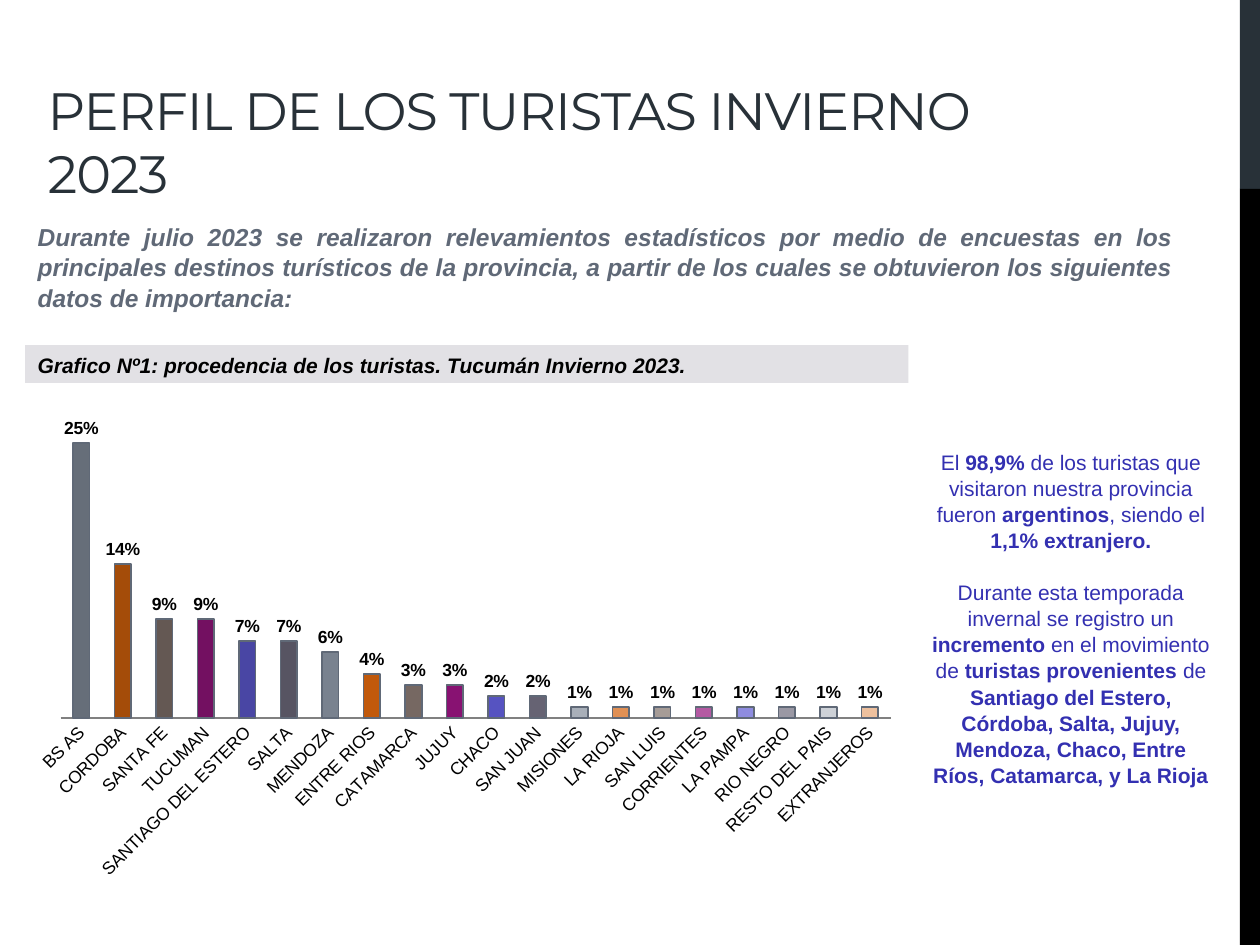
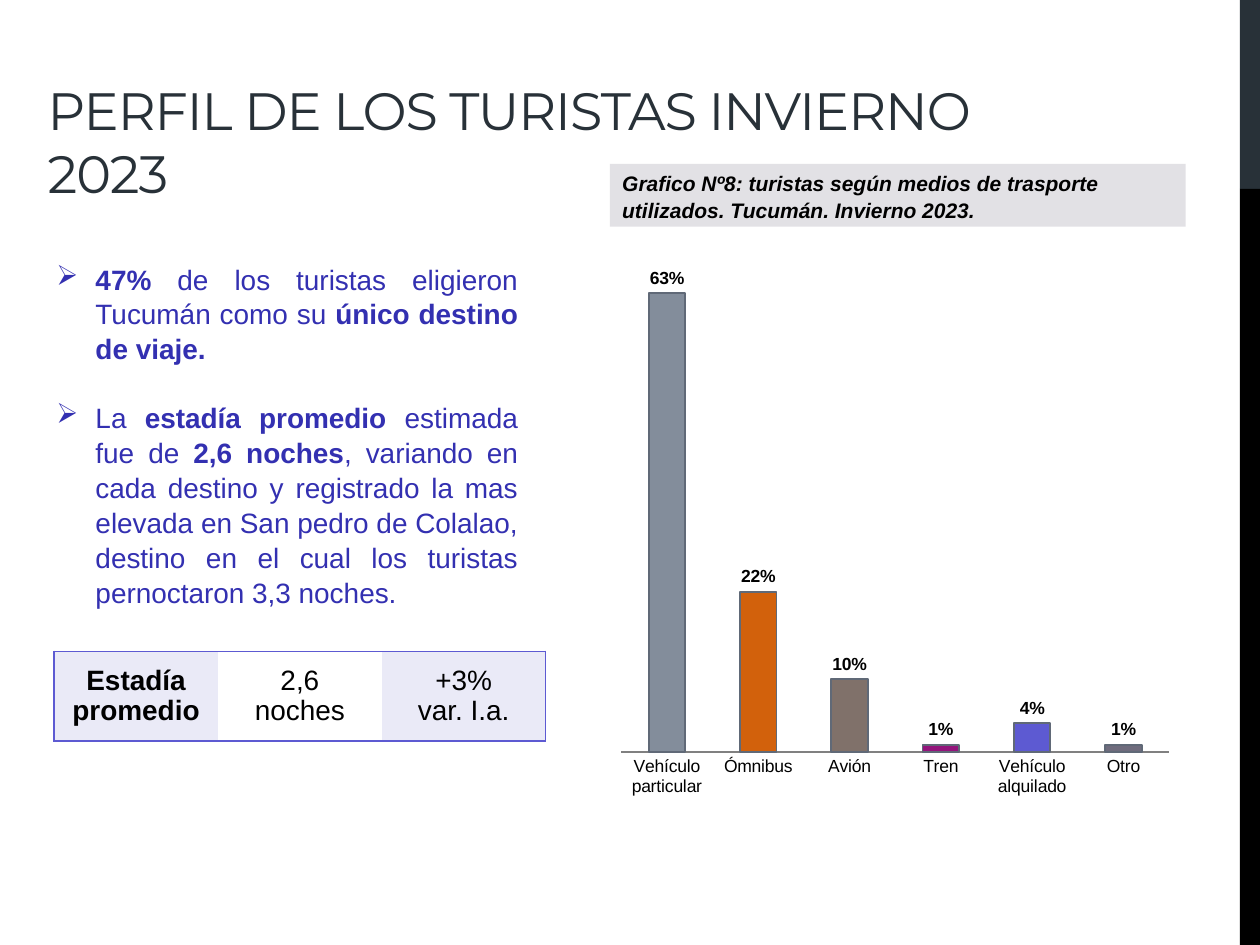
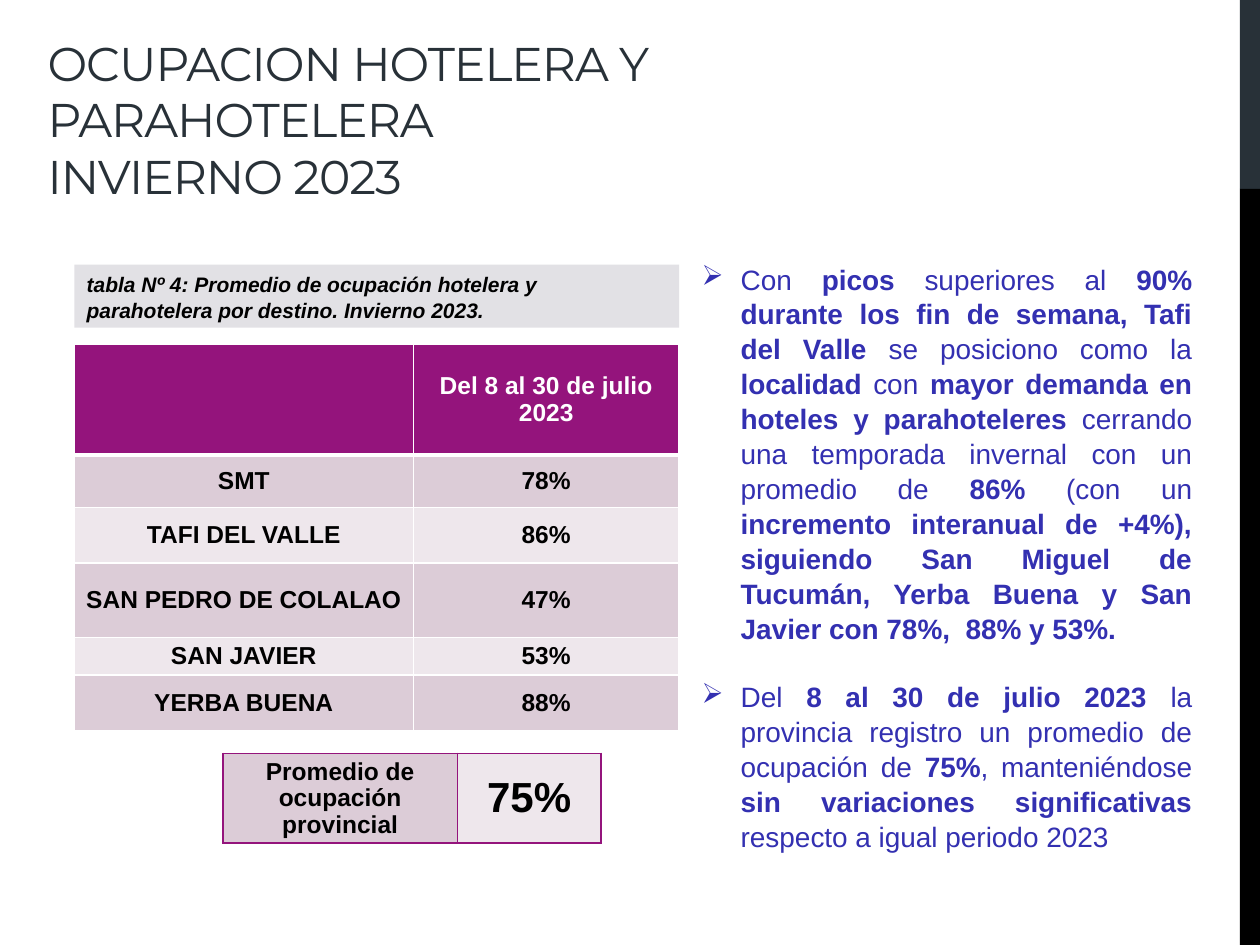
from itertools import product

from lxml import etree
from pptx import Presentation
from pptx.chart.data import CategoryChartData
from pptx.dml.color import RGBColor
from pptx.enum.chart import XL_CHART_TYPE as ChartType
from pptx.enum.chart import XL_LABEL_POSITION as LabelPosition
from pptx.enum.chart import XL_TICK_MARK as TickMark
from pptx.enum.shapes import MSO_SHAPE as Preset
from pptx.enum.text import MSO_ANCHOR as Anchor
from pptx.enum.text import PP_ALIGN as Align
from pptx.oxml.ns import qn
from pptx.util import Inches, Pt

BLACK = RGBColor(0x00, 0x00, 0x00)
WHITE = RGBColor(0xFF, 0xFF, 0xFF)
INK = RGBColor(0x28, 0x31, 0x38)
SLATE = RGBColor(0x60, 0x69, 0x77)
AXIS_GRAY = RGBColor(0x80, 0x80, 0x80)
BAND_GRAY = RGBColor(0xE2, 0xE1, 0xE5)
BLUE = RGBColor(0x33, 0x30, 0xB1)
VIOLET = RGBColor(0x5D, 0x5A, 0xD2)
LAVENDER = RGBColor(0xEA, 0xEA, 0xF7)
PLUM = RGBColor(0x94, 0x14, 0x7C)
PINK = RGBColor(0xDC, 0xCC, 0xD7)
PALE_PINK = RGBColor(0xEE, 0xE7, 0xEC)
ACCENTS = [
    RGBColor(0x83, 0x8D, 0x9B), RGBColor(0xD2, 0x61, 0x0C), RGBColor(0x80, 0x71, 0x6A),
    PLUM, VIOLET, RGBColor(0x6F, 0x6C, 0x7D),
]
SHADES = [-0.22, -0.08, 0.3, 0.6]

CAPTION = {"size": Pt(12), "bold": True, "italic": True}
INTRO = {"size": Pt(14), "bold": True, "italic": True}
NOTE = {"size": Pt(12)}
FINDING = {"size": Pt(16)}
STRONG = {"size": Pt(14), "bold": True}
CHART_TEXT = {"size": Pt(10)}
TIGHT = {"margin_left": Inches(0.01), "margin_right": Inches(0.01),
         "margin_top": Inches(0.01), "margin_bottom": 0}
SIDES = {"l": "a:lnL", "r": "a:lnR", "t": "a:lnT", "b": "a:lnB"}
NO_TABLE_STYLE = "{2D5ABB26-0587-4C30-8999-92F81FD0307C}"

PROFILE_TITLE = "PERFIL DE LOS TURISTAS INVIERNO 2023"
ORIGINS = {
    "BS AS": 0.25, "CORDOBA": 0.14, "SANTA FE": 0.09, "TUCUMAN": 0.09,
    "SANTIAGO DEL ESTERO": 0.07, "SALTA": 0.07, "MENDOZA": 0.06, "ENTRE RIOS": 0.04,
    "CATAMARCA": 0.03, "JUJUY": 0.03, "CHACO": 0.02, "SAN JUAN": 0.02,
    "MISIONES": 0.01, "LA RIOJA": 0.01, "SAN LUIS": 0.01, "CORRIENTES": 0.01,
    "LA PAMPA": 0.01, "RIO NEGRO": 0.01, "RESTO DEL PAIS": 0.01, "EXTRANJEROS": 0.01,
}
TRANSPORT = {
    "Vehículo particular": 0.63, "Ómnibus": 0.22, "Avión": 0.1,
    "Tren": 0.01, "Vehículo alquilado": 0.04, "Otro": 0.01,
}
OCCUPANCY = [
    ["", "Del 8 al 30 de julio 2023"],
    ["SMT", "78%"],
    ["TAFI DEL VALLE", "86%"],
    ["SAN PEDRO DE COLALAO", "47%"],
    ["SAN JAVIER", "53%"],
    ["YERBA BUENA", "88%"],
]


def apply(target, values):
    """Set every attribute in values on target."""
    for name, value in values.items():
        setattr(target, name, value)


def box(*lengths):
    """Turn left, top, width and height into lengths."""
    return [Inches(length) for length in lengths]


def shaded(color, amount):
    """Darken a colour for a negative amount, lighten it otherwise."""
    goal = 255 if amount > 0 else 0
    return RGBColor(*(round(part + (goal - part) * abs(amount)) for part in color))


class Deck:
    """Holds the shared style and the current slide."""

    def __init__(self):
        """Start an empty presentation."""
        self.prs = Presentation()
        self.prs.slide_width, self.prs.slide_height = Inches(10), Inches(7.5)
        self.slide = None

    def new_slide(self, title, size=30):
        """Add a slide with its side bars and title."""
        self.slide = self.prs.slides.add_slide(self.prs.slide_layouts[6])
        self.bar((9.84, 0, 0.16, 1.5), INK)
        self.bar((9.84, 1.5, 0.16, 6), BLACK)
        frame = self.text((0.28, 0.17, 7.8, 1.5), [title],
                          {"size": Pt(size), "name": "Montserrat"}, INK, line_spacing=1.0)
        frame.vertical_anchor = Anchor.BOTTOM
        for run in frame.paragraphs[0].runs:
            run._r.get_or_add_rPr().set("spc", "-60")

    def font(self, font, values, color):
        """Apply the house font with format values and a colour."""
        apply(font, {"name": "Arial", **values})
        font.color.rgb = color

    def fill_text(self, frame, texts, values, color, bullet=False, **paragraph_values):
        """Fill a frame with paragraphs, with bold stretches between asterisks."""
        for index, text in enumerate(texts):
            paragraph = frame.add_paragraph() if index else frame.paragraphs[0]
            if bullet:
                properties = paragraph._p.get_or_add_pPr()
                properties.set("marL", str(Inches(0.31)))
                properties.set("indent", str(Inches(-0.31)))
                etree.SubElement(properties, qn("a:buChar")).set("char", "➢")
            apply(paragraph, {"line_spacing": 1.04, **paragraph_values})
            if index and "space_before" not in paragraph_values:
                paragraph.space_before = Pt(values["size"].pt * 1.2)
            for line_number, line in enumerate(text.split("\n")):
                if line_number:
                    paragraph.add_line_break()
                for part_number, part in enumerate(line.split("*")):
                    if part:
                        run = paragraph.add_run()
                        run.text = part
                        strong = {"bold": True} if part_number % 2 else {}
                        self.font(run.font, {**values, **strong}, color)

    def text(self, place, texts, values, color, **options):
        """Add a wrapping text box."""
        frame = self.slide.shapes.add_textbox(*box(*place)).text_frame
        frame.word_wrap = True
        self.fill_text(frame, texts, values, color, **options)
        return frame

    def bar(self, place, color):
        """Add a plain filled rectangle."""
        shape = self.slide.shapes.add_shape(Preset.RECTANGLE, *box(*place))
        shape.shadow.inherit = False
        shape.fill.solid()
        shape.fill.fore_color.rgb = color
        shape.line.fill.background()
        return shape

    def caption(self, place, text):
        """Add a gray band naming a chart or table."""
        frame = self.bar(place, BAND_GRAY).text_frame
        frame.word_wrap = True
        frame.vertical_anchor = Anchor.TOP
        self.fill_text(frame, [text], CAPTION, BLACK, alignment=Align.LEFT)

    def findings(self, place, texts):
        """Add justified bullet points."""
        self.text(place, texts, FINDING, BLUE, bullet=True, alignment=Align.JUSTIFY)

    def chart(self, place, shares, colors, top, plot, rotation=None):
        """Add a column chart of shares with one colour per column."""
        data = CategoryChartData(number_format="0%")
        data.categories = list(shares)
        data.add_series("Series 1", list(shares.values()))
        chart = self.slide.shapes.add_chart(
            ChartType.COLUMN_CLUSTERED, *box(*place), data).chart
        apply(chart, {"has_legend": False, "has_title": False})
        self.font(chart.font, CHART_TEXT, BLACK)
        apply(chart.value_axis, {"visible": False, "has_major_gridlines": False,
                                 "minimum_scale": 0, "maximum_scale": top})
        axis = chart.category_axis
        apply(axis, {"major_tick_mark": TickMark.NONE, "has_major_gridlines": False})
        axis.format.line.color.rgb = AXIS_GRAY
        axis.format.line.width = Pt(1)
        self.font(axis.tick_labels.font, CHART_TEXT, BLACK)
        if rotation:
            body = axis._element.find(qn("c:txPr")).find(qn("a:bodyPr"))
            body.set("rot", str(rotation * 60000))
        columns = chart.plots[0]
        apply(columns, {"gap_width": 150, "overlap": -25, "vary_by_categories": False,
                        "has_data_labels": True})
        apply(columns.data_labels, {"show_value": True, "number_format": "0%",
                                    "number_format_is_linked": False,
                                    "position": LabelPosition.OUTSIDE_END})
        self.font(columns.data_labels.font, {**CHART_TEXT, "bold": True}, BLACK)
        for index, color in enumerate(colors):
            column = columns.series[0].points[index].format
            column.fill.solid()
            column.fill.fore_color.rgb = color
            column.line.color.rgb = SLATE
            column.line.width = Pt(1)
        self.place_plot(chart, plot)

    def place_plot(self, chart, plot):
        """Fix the inner plot area as fractions of the chart."""
        area = chart._chartSpace.chart.plotArea
        for old in area.findall(qn("c:layout")):
            area.remove(old)
        layout = etree.Element(qn("c:layout"))
        manual = etree.SubElement(layout, qn("c:manualLayout"))
        settings = {"layoutTarget": "inner", "xMode": "edge", "yMode": "edge",
                    **dict(zip("xywh", plot))}
        for name, value in settings.items():
            etree.SubElement(manual, qn(f"c:{name}")).set("val", str(value))
        area.insert(0, layout)

    def table(self, place, widths, heights):
        """Add a table without a built-in style."""
        table = self.slide.shapes.add_table(len(heights), len(widths), *box(*place)).table
        apply(table, {"first_row": False, "horz_banding": False})
        table._tbl.tblPr.find(qn("a:tableStyleId")).text = NO_TABLE_STYLE
        for column, width in zip(table.columns, widths):
            column.width = Inches(width)
        for row, height in zip(table.rows, heights):
            row.height = Inches(height)
        return table

    def cell(self, cell, texts, values, fill, borders, color=BLACK, margins=None):
        """Fill one cell with centred text and side borders."""
        properties = cell._tc.get_or_add_tcPr()
        for side, tag in SIDES.items():
            if side in borders:
                line_color, width = borders[side]
                line = etree.SubElement(properties, qn(tag), w=str(Pt(width)))
                solid = etree.SubElement(line, qn("a:solidFill"))
                etree.SubElement(solid, qn("a:srgbClr")).set("val", str(line_color))
        cell.fill.solid()
        cell.fill.fore_color.rgb = fill
        apply(cell, {"vertical_anchor": Anchor.MIDDLE, **(margins or {})})
        self.fill_text(cell.text_frame, texts, values, color, alignment=Align.CENTER,
                       line_spacing=0.96, space_before=Pt(0))


def origin_slide(deck):
    """Build the slide on where tourists come from."""
    deck.new_slide(PROFILE_TITLE)
    deck.caption((0.2, 2.74, 7.01, 0.3),
                 "Grafico Nº1: procedencia de los turistas. Tucumán Invierno 2023.")
    colors = [shaded(accent, shade) for shade, accent in product(SHADES, ACCENTS)]
    deck.chart((0.2, 3.04, 7.01, 4.03), ORIGINS, colors[:len(ORIGINS)], 0.3,
               (0.04, 0.01, 0.94, 0.65), rotation=-45)
    deck.text((7.28, 3.51, 2.44, 2.73), [
        "El *98,9%* de los turistas que visitaron nuestra provincia fueron *argentinos*, "
        "siendo el *1,1% extranjero.*",
        "Durante esta temporada invernal se registro un *incremento* en el movimiento de "
        "*turistas provenientes *de *Santiago del Estero, Córdoba, Salta, Jujuy, Mendoza, "
        "Chaco, Entre Ríos, Catamarca, y La Rioja*",
    ], NOTE, BLUE, alignment=Align.CENTER)
    deck.text((0.2, 1.7, 9.21, 0.81), [
        "Durante julio 2023 se realizaron relevamientos estadísticos por medio de encuestas "
        "en los principales destinos turísticos de la provincia, a partir de los cuales se "
        "obtuvieron los siguientes datos de importancia:",
    ], INTRO, SLATE, alignment=Align.JUSTIFY)


def stay_slide(deck):
    """Build the slide on length of stay and transport."""
    deck.new_slide(PROFILE_TITLE)
    deck.findings((0.35, 2.02, 3.86, 2.79), [
        "*47%* de los turistas eligieron Tucumán como su *único destino de viaje.*",
        "La *estadía promedio* estimada fue de *2,6 noches*, variando en cada destino y "
        "registrado la mas elevada en San pedro de Colalao, destino en el cual los turistas "
        "pernoctaron 3,3 noches.",
    ])
    stay = deck.table((0.43, 5.17, 3.89, 0.71), [1.3] * 3, [0.71])
    edge = (VIOLET, 1)
    parts = [(["*Estadía promedio*"], LAVENDER, "ltb"),
             (["2,6", "noches"], WHITE, "tb"),
             (["+3%", "var. I.a."], LAVENDER, "rtb")]
    for column, (texts, fill, sides) in enumerate(parts):
        deck.cell(stay.cell(0, column), texts, FINDING, fill, dict.fromkeys(sides, edge))
    deck.chart((4.84, 1.83, 4.53, 4.6), TRANSPORT, ACCENTS, 0.7, (0.02, 0.02, 0.96, 0.88))
    deck.caption((4.84, 1.3, 4.57, 0.5),
                 "Grafico Nº8: turistas según medios de trasporte utilizados. Tucumán. "
                 "Invierno 2023.")


def occupancy_slide(deck):
    """Build the slide on hotel occupancy."""
    deck.new_slide("OCUPACION HOTELERA Y PARAHOTELERA\nINVIERNO 2023", 27)
    deck.caption((0.59, 2.1, 4.8, 0.5),
                 "tabla Nº 4: Promedio de ocupación hotelera y parahotelera por destino. "
                 "Invierno 2023.")
    occupancy = deck.table((0.59, 2.73, 4.8, 3.07), [2.69, 2.11],
                           [0.88, 0.42, 0.44, 0.59, 0.3, 0.44])
    grid = dict.fromkeys(SIDES, (WHITE, 1))
    thick = (WHITE, 3)
    for row, texts in enumerate(OCCUPANCY):
        fill = (PINK if row % 2 else PALE_PINK) if row else PLUM
        borders = {**grid, **({"b": thick} if row == 0 else {"t": thick} if row == 1 else {})}
        for column, text in enumerate(texts):
            deck.cell(occupancy.cell(row, column), [text], STRONG, fill, borders,
                      BLACK if row else WHITE, TIGHT)
    average = deck.table((1.77, 5.98, 3, 0.71), [1.86, 1.14], [0.71])
    frame = dict.fromkeys(SIDES, (PLUM, 1))
    deck.cell(average.cell(0, 0), ["Promedio de ocupación provincial"], STRONG, PINK, frame,
              margins=TIGHT)
    deck.cell(average.cell(0, 1), ["75%"], {**STRONG, "size": Pt(24)}, PALE_PINK, frame,
              margins=TIGHT)
    deck.findings((5.47, 2.02, 4.09, 4.68), [
        "Con *picos *superiores al *90% durante los fin de semana, Tafi del Valle* se "
        "posiciono como la *localidad* con *mayor demanda en hoteles y parahoteleres* "
        "cerrando una temporada invernal con un promedio de *86%* (con un *incremento "
        "interanual de +4%), siguiendo San Miguel de Tucumán, Yerba Buena y San Javier con "
        "78%,  88% y 53%.*",
        "Del *8 al 30 de julio 2023 *la provincia registro un promedio de ocupación de "
        "*75%*, manteniéndose *sin variaciones significativas* respecto a igual periodo 2023",
    ])


def main():
    """Build and save the presentation."""
    deck = Deck()
    for build in (origin_slide, stay_slide, occupancy_slide):
        build(deck)
    deck.prs.save("out.pptx")


if __name__ == "__main__":
    main()
